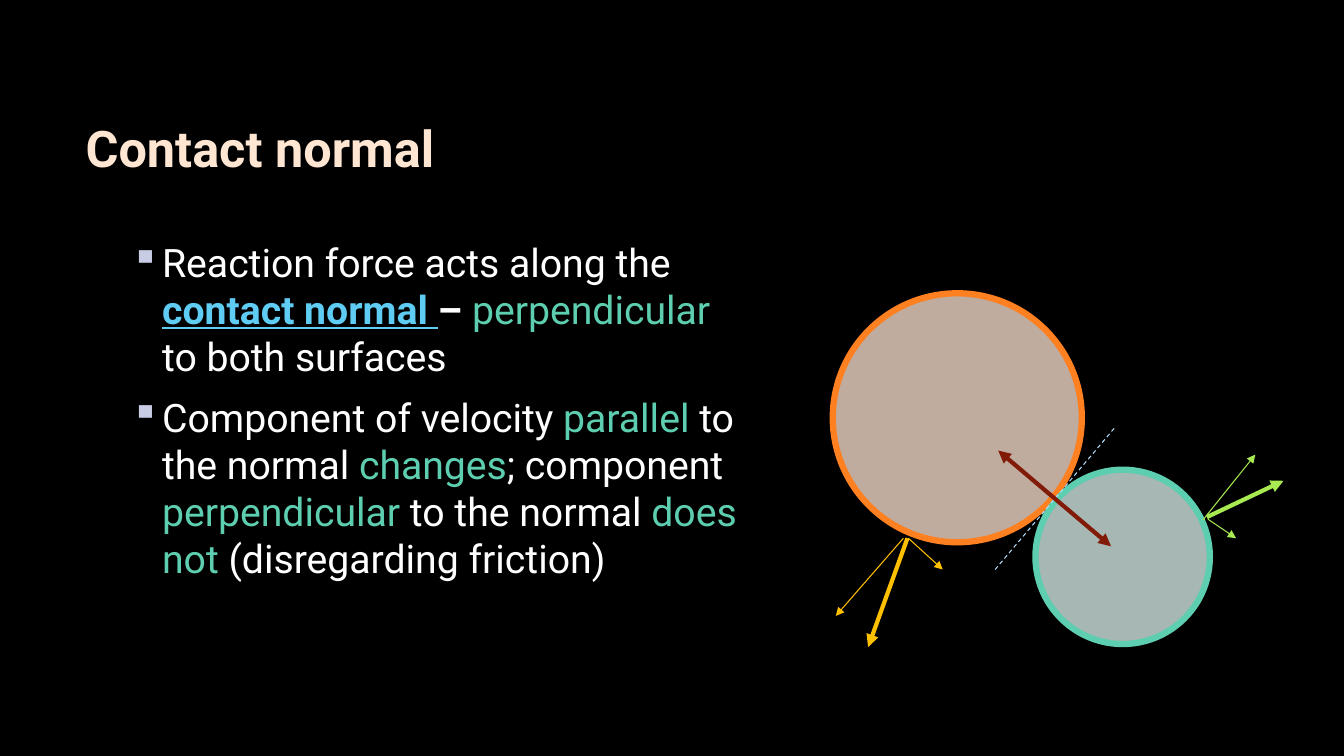
from lxml import etree
from pptx import Presentation
from pptx.dml.color import RGBColor
from pptx.enum import dml, shapes, text
from pptx.oxml import ns
from pptx.util import Inches, Pt

FONT = "Roboto"
BLACK = RGBColor(0x00, 0x00, 0x00)
WHITE = RGBColor(0xFF, 0xFF, 0xFF)
CREAM = RGBColor(0xFF, 0xE6, 0xD3)
ORANGE = RGBColor(0xFF, 0x80, 0x21)
MINT = RGBColor(0xDF, 0xF5, 0xEF)
GREEN = RGBColor(0x5D, 0xCE, 0xAF)
BLUE = RGBColor(0x5E, 0xCC, 0xF3)
PALE = RGBColor(0xB4, 0xDC, 0xFA)
GOLD = RGBColor(0xFF, 0xC0, 0x00)
LIME = RGBColor(0xA7, 0xEA, 0x52)
RED = RGBColor(0x82, 0x1A, 0x08)
LILAC = RGBColor(0xC8, 0xCD, 0xE5)

TITLE = "Contact normal"
# Each run: text, colour, bold, underline
POINTS = [
    [("Reaction force acts along the ", WHITE, False, False),
     ("contact normal ", BLUE, True, True),
     ("– ", WHITE, True, False),
     ("perpendicular", GREEN, False, False),
     (" to both surfaces", WHITE, False, False)],
    [("Component of velocity ", WHITE, False, False),
     ("parallel", GREEN, False, False),
     (" to the normal ", WHITE, False, False),
     ("changes", GREEN, False, False),
     ("; component ", WHITE, False, False),
     ("perpendicular", GREEN, False, False),
     (" to the normal ", WHITE, False, False),
     ("does not ", GREEN, False, False),
     ("(disregarding friction)", WHITE, False, False)],
]
# Left, top, diameter, fill, outline
BALLS = [
    (8.26, 2.91, 2.47, CREAM, ORANGE),
    (10.27, 4.66, 1.73, MINT, GREEN),
]
# Start, end, colour, width, ends with an arrowhead
LINES = [
    ((9, 5.34), (8.61, 6.42), GOLD, 3, ["tail"]),
    ((11.97, 5.13), (12.73, 4.77), LIME, 3, ["tail"]),
    ((9.87, 5.65), (11.05, 4.25), PALE, 0.75, []),
    ((9.9, 4.47), (11.02, 5.42), RED, 3, ["head", "tail"]),
    ((8.96, 5.34), (8.29, 6.11), GOLD, 0.75, ["tail"]),
    ((9.01, 5.34), (9.35, 5.65), GOLD, 0.75, ["tail"]),
    ((11.93, 5.16), (12.45, 4.51), LIME, 0.75, ["tail"]),
    ((11.98, 5.15), (12.26, 5.34), LIME, 0.75, ["tail"]),
]


def add(parent, tag, **attrs):
    return etree.SubElement(parent, ns.qn(tag), attrs)


def add_box(slide, left, top, width, height):
    box = slide.shapes.add_textbox(*map(Inches, (left, top, width, height)))
    box.text_frame.word_wrap = True
    return box.text_frame


def style(font, size, color, bold=False, under=False):
    font.name = FONT
    font.size = Pt(size)
    font.bold = bold
    font.underline = under
    font.color.rgb = color


def add_bullet(para):
    props = para._p.get_or_add_pPr()
    props.set("marL", str(Inches(0.31)))
    props.set("indent", str(-Inches(0.31)))
    color = add(props, "a:buClr")
    add(color, "a:srgbClr", val=str(LILAC))
    add(props, "a:buChar", char="▪")


def add_ball(slide, left, top, size, fill, edge):
    ball = slide.shapes.add_shape(
        shapes.MSO_SHAPE.OVAL, *map(Inches, (left, top, size, size)))
    ball.shadow.inherit = False
    ball.fill.solid()
    ball.fill.fore_color.rgb = fill
    tint = ball._element.spPr.find(".//" + ns.qn("a:srgbClr"))
    add(tint, "a:alpha", val="75000")
    ball.line.color.rgb = edge
    ball.line.width = Pt(4.5)


def add_line(slide, start, end, color, width, heads):
    line = slide.shapes.add_connector(
        shapes.MSO_CONNECTOR.STRAIGHT, *map(Inches, start + end))
    line.line.color.rgb = color
    line.line.width = Pt(width)
    if not heads:
        line.line.dash_style = dml.MSO_LINE.DASH
    for side in heads:
        add(line.line._get_or_add_ln(), f"a:{side}End", type="triangle")
    add(line._element.spPr, "a:effectLst")


def main():
    deck = Presentation()
    deck.slide_width, deck.slide_height = Inches(13.33), Inches(7.5)
    slide = deck.slides.add_slide(deck.slide_layouts[6])
    slide.background.fill.solid()
    slide.background.fill.fore_color.rgb = BLACK

    head = add_box(slide, 0.75, 0.67, 11.08, 1.59)
    head.vertical_anchor = text.MSO_ANCHOR.MIDDLE
    head.text = TITLE
    style(head.paragraphs[0].runs[0].font, 36, CREAM, bold=True)

    body = add_box(slide, 1.2, 2.31, 6.23, 4.11)
    body.text = "\n".join("".join(run[0] for run in point) for point in POINTS)
    for para, point in zip(body.paragraphs, POINTS):
        para.clear()
        add_bullet(para)
        para.space_after = Pt(10)
        for words, color, bold, under in point:
            run = para.add_run()
            run.text = words
            style(run.font, 28, color, bold, under)

    for ball in BALLS:
        add_ball(slide, *ball)
    for line in LINES:
        add_line(slide, *line)
    deck.save("out.pptx")


if __name__ == "__main__":
    main()
